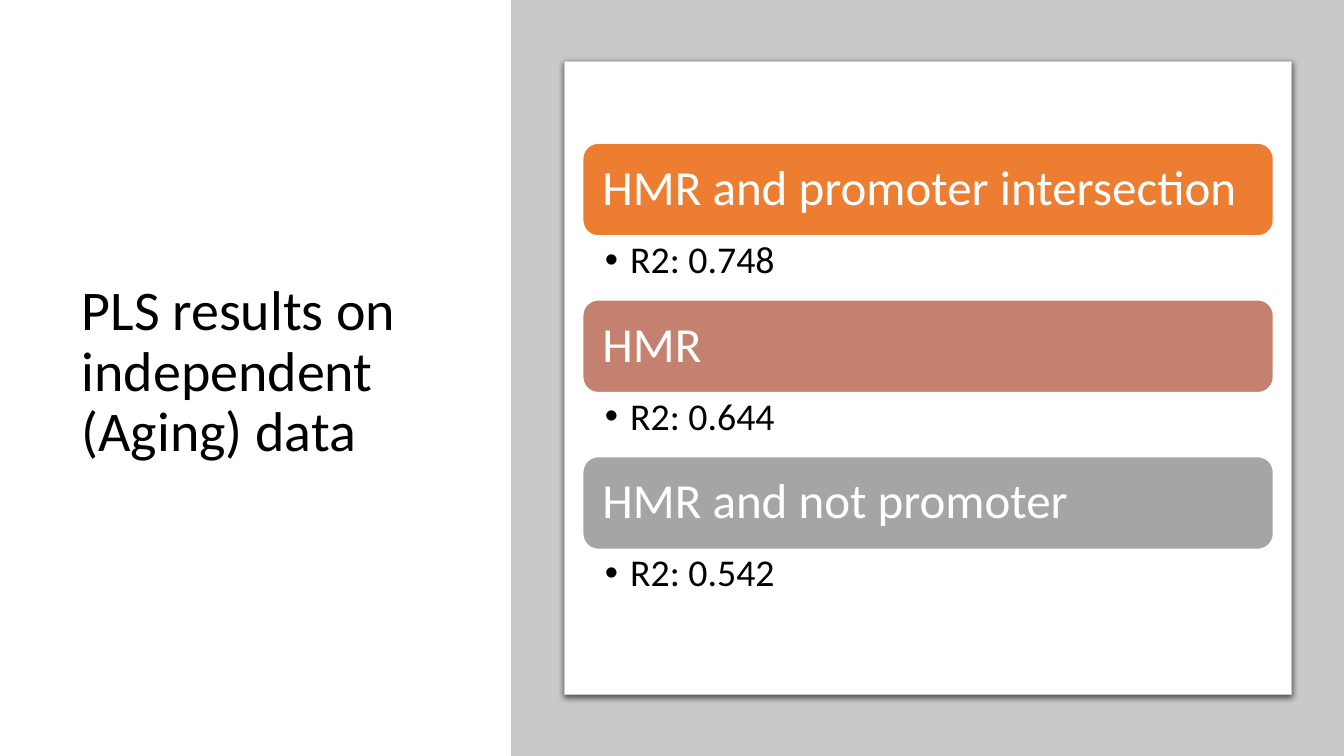
from dataclasses import dataclass

from lxml import etree
from pptx import Presentation
from pptx.dml.color import RGBColor
from pptx.enum import shapes, text
from pptx.oxml.ns import qn
from pptx.util import Emu, Inches, Pt

BLACK, WHITE, GREY = "000000", "FFFFFF", "C8CACA"
LEFT, WIDTH = 5.78, 6.85
TOP, PITCH = 1.42, 1.555
BAR_HEIGHT, RESULT_HEIGHT = 0.92, 0.63


@dataclass
class Model:
    name: str
    r2: str
    color: str


MODELS = [
    Model("HMR and promoter intersection", "0.748", "ED7D31"),
    Model("HMR", "0.644", "C48170"),
    Model("HMR and not promoter", "0.542", "A5A5A5"),
]


def rgb(color: str) -> RGBColor:
    return RGBColor.from_string(color)


def add_box(s, kind, left: float, top: float, width: float, height: float,
            fill: str, line: str = "", weight: float = 1):
    sp = s.shapes.add_shape(kind, Inches(left), Inches(top), Inches(width), Inches(height))
    sp.shadow.inherit = False
    sp.fill.solid()
    sp.fill.fore_color.rgb = rgb(fill)
    if line:
        sp.line.color.rgb = rgb(line)
        sp.line.width = Pt(weight)
    else:
        sp.line.fill.background()
    return sp


def write(tf, words: str, size: float, color: str, anchor, insets: list[float]):
    """Fill a text frame with one left-aligned paragraph; insets run left, top, right, bottom."""
    tf.word_wrap = True
    tf.auto_size = text.MSO_AUTO_SIZE.NONE
    tf.vertical_anchor = anchor
    tf.margin_left, tf.margin_top, tf.margin_right, tf.margin_bottom = map(Inches, insets)
    p = tf.paragraphs[0]
    p.alignment = text.PP_ALIGN.LEFT
    p.line_spacing = 0.9
    r = p.add_run()
    r.text = words
    r.font.name = "Calibri"
    r.font.size = Pt(size)
    r.font.color.rgb = rgb(color)
    return p


def add_bullet(p) -> None:
    pPr = p._p.get_or_add_pPr()
    pPr.set("marL", str(Inches(0.25)))
    pPr.set("indent", str(-Inches(0.25)))
    etree.SubElement(pPr, qn("a:buFont"), typeface="Arial")
    etree.SubElement(pPr, qn("a:buChar"), char="•")


def add_drop_shadow(sp) -> None:
    effects = sp._element.spPr.find(qn("a:effectLst"))
    shadow = etree.SubElement(effects, qn("a:outerShdw"), blurRad=str(Pt(4.5)),
                              dist=str(Pt(1.5)), dir="5400000", algn="t", rotWithShape="0")
    color = etree.SubElement(shadow, qn("a:srgbClr"), val=BLACK)
    etree.SubElement(color, qn("a:alpha"), val="63000")


def add_model(s, model: Model, top: float) -> None:
    """Draw a coloured bar with the model name and its R2 bullet below."""
    bar = add_box(s, shapes.MSO_SHAPE.ROUNDED_RECTANGLE, LEFT, top, WIDTH, BAR_HEIGHT,
                  model.color, WHITE)
    write(bar.text_frame, model.name, 35, WHITE, text.MSO_ANCHOR.MIDDLE, [0.15] * 4)
    result = s.shapes.add_textbox(Inches(LEFT), Inches(top + BAR_HEIGHT),
                                  Inches(WIDTH), Inches(RESULT_HEIGHT))
    p = write(result.text_frame, f"R2: {model.r2}", 27, BLACK, text.MSO_ANCHOR.TOP,
              [0.22, 0.05, 0.27, 0.05])
    p.level = 1
    add_bullet(p)


def main() -> None:
    prs = Presentation()
    prs.slide_width, prs.slide_height = Inches(13.33), Inches(7.5)
    s = prs.slides.add_slide(prs.slide_layouts[5])

    title = s.shapes.title
    title.left, title.top, title.width, title.height = map(Inches, (0.71, 0.69, 4.01, 6.02))
    write(title.text_frame, "PLS results on independent (Aging) data", 40, BLACK,
          text.MSO_ANCHOR.MIDDLE, [0.1, 0.05, 0.1, 0.05])

    add_box(s, shapes.MSO_SHAPE.RECTANGLE, 5.07, 0, 8.26, 7.5, GREY)
    card = add_box(s, shapes.MSO_SHAPE.RECTANGLE, 5.6, 0.61, 7.21, 6.28, WHITE, GREY, 0.75)
    add_drop_shadow(card)

    for i, model in enumerate(MODELS):
        add_model(s, model, TOP + i * PITCH)

    prs.save("out.pptx")


if __name__ == "__main__":
    main()
